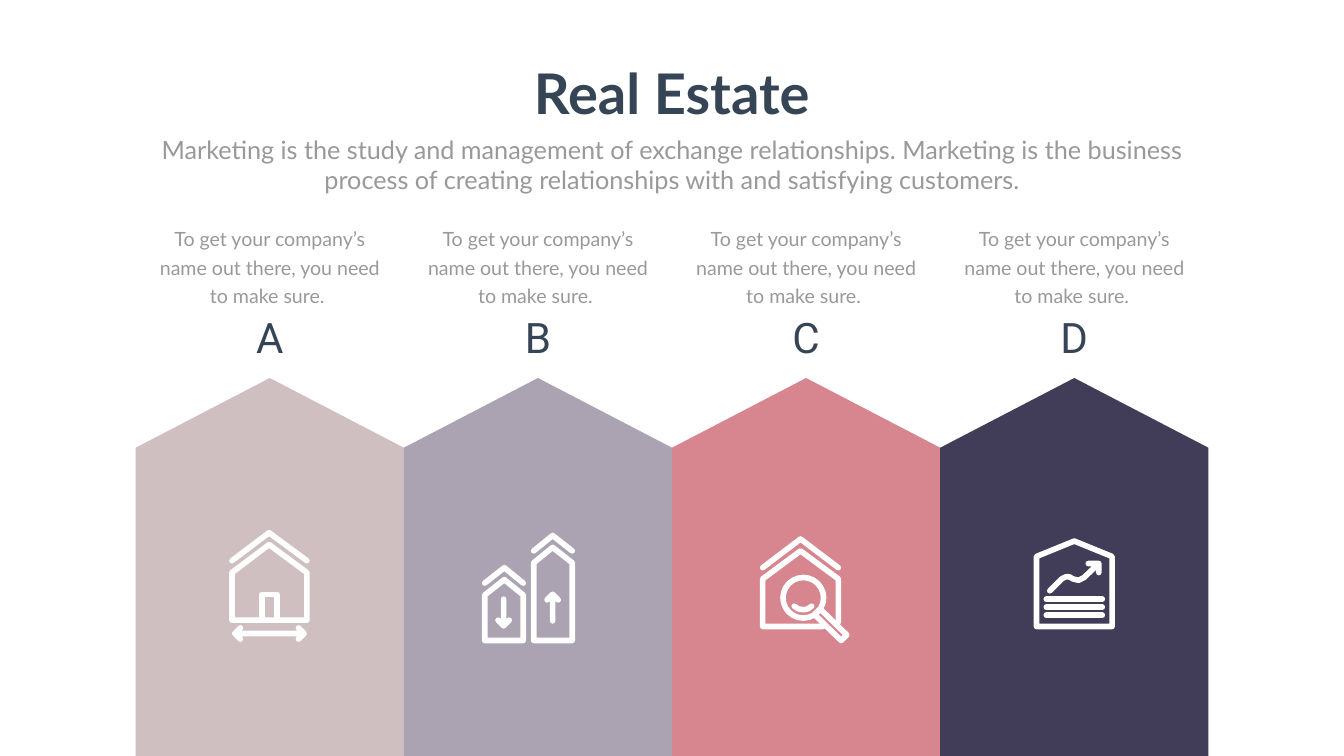
from lxml import etree
from pptx import Presentation
from pptx import util as u
from pptx.dml.color import RGBColor
from pptx.enum import shapes, text
from pptx.oxml.ns import qn

NAVY = RGBColor(0x36, 0x45, 0x56)
GREY = RGBColor(0x99, 0x99, 0x99)
WHITE = RGBColor(0xFF, 0xFF, 0xFF)
SAND = RGBColor(0xCF, 0xBF, 0xC1)
MAUVE = RGBColor(0xAB, 0xA3, 0xB1)
ROSE = RGBColor(0xD7, 0x85, 0x8E)
PLUM = RGBColor(0x41, 0x3C, 0x57)

PITCH, COLUMN_HEIGHT, TOP = 383, 540, 540
FIRST_CENTRE = 385.3
STROKE = 8


def add_text(left, top, width, height, words, font, size, color, wrap=True):
    box = page.shapes.add_textbox(u.Pt(left), u.Pt(top), u.Pt(width), u.Pt(height))
    box.text_frame.word_wrap = wrap
    para = box.text_frame.paragraphs[0]
    para.text = words
    para.alignment = text.PP_ALIGN.CENTER
    span = para.runs[0]
    span.font.name, span.font.size = font, u.Pt(size)
    span.font.color.rgb = color
    return para


def stroke(item):
    """Give an icon part a white line with round ends and joins."""
    item.line.color.rgb = WHITE
    item.line.width = u.Pt(STROKE)
    line = item.line._get_or_add_ln()
    line.set("cap", "rnd")
    etree.SubElement(line, qn("a:round"))
    etree.SubElement(item._element.spPr, qn("a:effectLst"))


# Each icon: outlines (points, closed), level lines (from, to) and circles
# (centre x, centre y, radius), measured from the column's top centre.
# Arrows are single strokes that run out to each barb and back to the tip.
ICONS = [
    {   # house with a width arrow
        "outlines": [
            ([(-54, 261), (-1, 221), (53, 261)], False),
            ([(-54, 346), (-54, 278), (-1, 238), (53, 278), (53, 346)], True),
            ([(-11, 346), (-11, 309), (10, 309), (10, 346)], False),
            ([(-42, 357), (-50, 365), (-42, 373), (-50, 365),
              (49, 365), (41, 357), (49, 365), (41, 373)], False),
        ],
    },
    {   # small and tall buildings
        "outlines": [
            ([(-76, 293), (-48.5, 271), (-21, 293)], False),
            ([(-76, 375), (-76, 310), (-48.5, 288), (-21, 310), (-21, 375)], True),
            ([(-6, 247), (21, 225), (49, 247)], False),
            ([(-6, 375), (-6, 264), (21, 242), (49, 264), (49, 375)], True),
            ([(-49, 316), (-49, 354), (-57, 346), (-49, 354), (-41, 346)], False),
            ([(21, 347), (21, 309), (13, 317), (21, 309), (29, 317)], False),
        ],
    },
    {   # house with a magnifier
        "outlines": [
            ([(-62, 271), (-8, 230), (46, 271)], False),
            ([(24, 355), (-62, 355), (-62, 287), (-8, 247), (46, 287), (46, 349)], False),
            ([(-17, 326), (-11, 330), (-4, 331), (2, 330), (8, 326)], False),
            ([(12, 338), (20, 330), (58, 367), (50, 375)], True),
        ],
        "circles": [(-4, 314, 29)],
    },
    {   # house with a rising trend
        "outlines": [
            ([(-54, 355), (-54, 255), (0, 233), (54, 255), (54, 355)], True),
            ([(-35, 304), (-18, 287), (-12, 284), (-7, 284), (-2, 287), (6, 289),
              (14, 285), (35, 265), (20, 265), (35, 265), (35, 278)], False),
        ],
        "lines": [((-40, y), (40, y)) for y in (316, 327.5, 339)],
    },
]

deck = Presentation()
deck.slide_width, deck.slide_height = u.Pt(1919.52), u.Pt(1080)
page = deck.slides.add_slide(deck.slide_layouts[6])

# Heading
title = add_text(749.5, 80.6, 420, 104.4, "Real Estate", "Lato", 80, NAVY, wrap=False)
title.runs[0].font.bold = True
add_text(210.2, 187.9, 1499, 94.3,
         "Marketing is the study and management of exchange relationships. "
         "Marketing is the business process of creating relationships with "
         "and satisfying customers.", "Lato", 36, GREY)

for index, (letter, color, icon) in enumerate(zip("ABCD", (SAND, MAUVE, ROSE, PLUM), ICONS)):
    centre = FIRST_CENTRE + index * PITCH

    # Column pointing upwards
    column = page.shapes.add_shape(
        shapes.MSO_SHAPE.PENTAGON,
        u.Pt(centre - COLUMN_HEIGHT / 2), u.Pt(TOP + (COLUMN_HEIGHT - PITCH) / 2),
        u.Pt(COLUMN_HEIGHT), u.Pt(PITCH))
    column.rotation = 270
    column.adjustments[0] = 0.26
    column.shadow.inherit = False
    column.fill.solid()
    column.fill.fore_color.rgb = color
    column.line.fill.background()

    # Letter and description
    add_text(centre - 70, 442, 140, 80, letter, "Roboto", 60, NAVY)
    note = add_text(centre - 171.5, 313.5, 343, 127.4,
                    "To get your company’s name out there, you need to make sure. ",
                    "Lato", 28, GREY)
    note.line_spacing = u.Pt(40.8)

    # Icon
    group = page.shapes.add_group_shape()
    for points, closed in icon["outlines"]:
        builder = group.shapes.build_freeform(*points[0], scale=float(u.Pt(1)))
        builder.add_line_segments(points[1:], close=closed)
        outline = builder.convert_to_shape(u.Pt(centre), u.Pt(TOP))
        outline.fill.background()
        stroke(outline)
    for (x1, y1), (x2, y2) in icon.get("lines", []):
        line = group.shapes.add_connector(
            shapes.MSO_CONNECTOR.STRAIGHT, u.Pt(centre + x1), u.Pt(TOP + y1),
            u.Pt(centre + x2), u.Pt(TOP + y2))
        stroke(line)
    for x, y, radius in icon.get("circles", []):
        lens = group.shapes.add_shape(
            shapes.MSO_SHAPE.OVAL, u.Pt(centre + x - radius), u.Pt(TOP + y - radius),
            u.Pt(2 * radius), u.Pt(2 * radius))
        lens.fill.background()
        stroke(lens)

deck.save("out.pptx")
